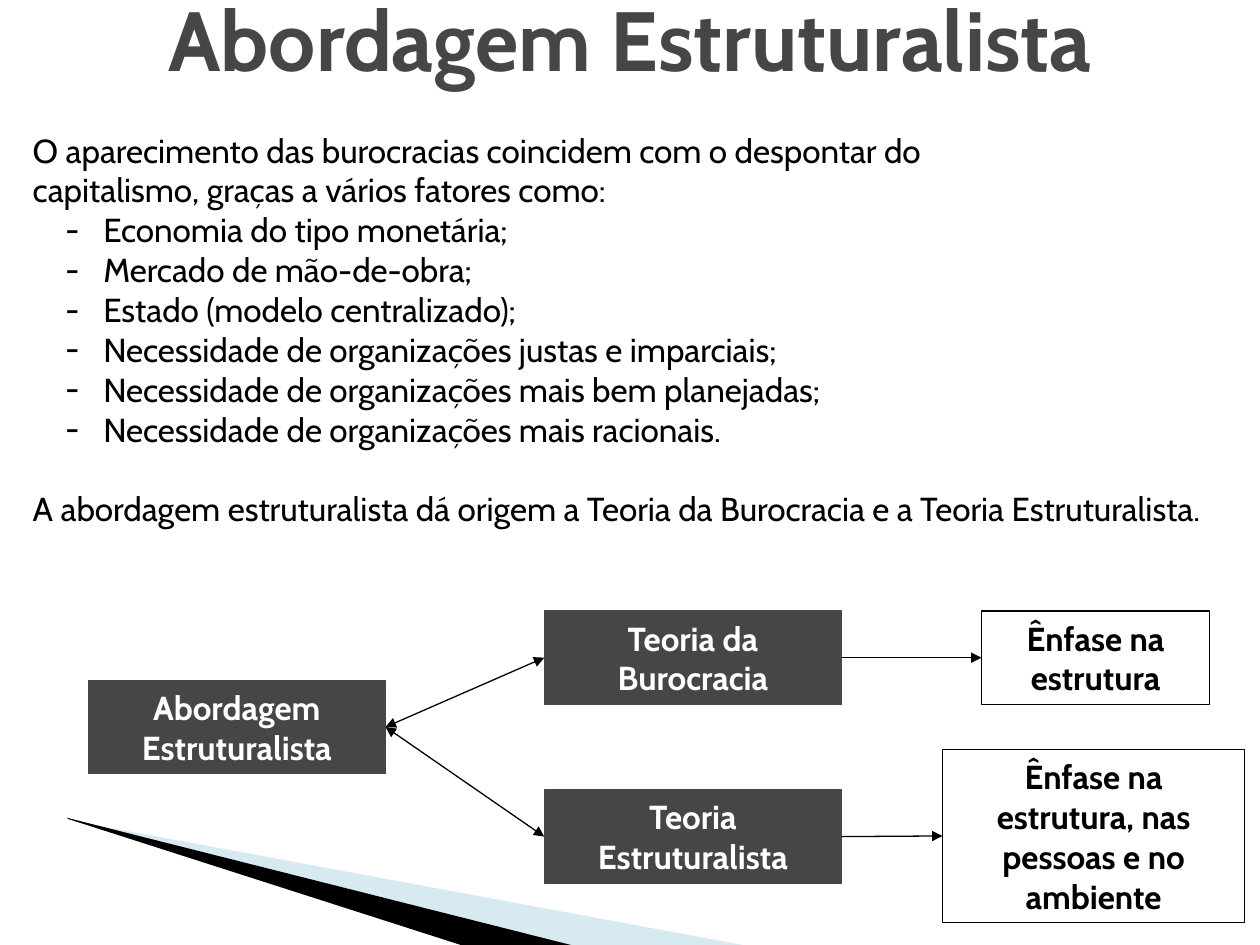
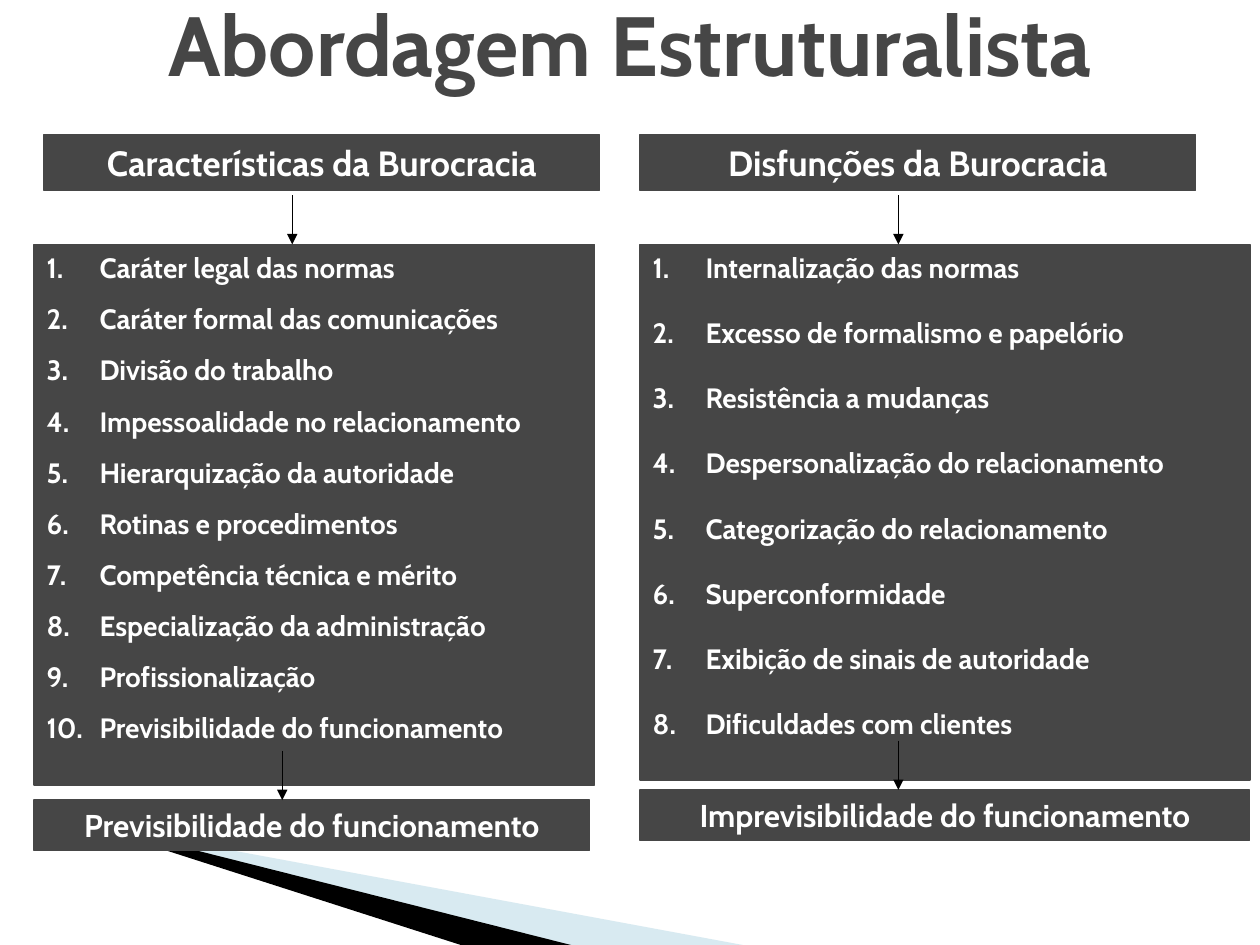
from dataclasses import dataclass

from pptx import Presentation
from pptx.dml.color import RGBColor
from pptx.enum.shapes import MSO_CONNECTOR as Connector, MSO_SHAPE as Preset
from pptx.enum.text import MSO_ANCHOR as Anchor, MSO_AUTO_SIZE as AutoSize, PP_ALIGN as Align
from pptx.oxml.ns import qn
from pptx.oxml.xmlchemy import OxmlElement
from pptx.util import Inches, Pt

# Shared style
DARK = RGBColor(0x46, 0x46, 0x46)
BLACK = RGBColor(0x00, 0x00, 0x00)
WHITE = RGBColor(0xFF, 0xFF, 0xFF)
PALE_BLUE = RGBColor(0x9F, 0xCB, 0xDC)
FONT = "Cabin"
LINE_WIDTH = Pt(0.75)
TITLE = "Abordagem Estruturalista"
LEFT_SIDE, RIGHT_SIDE = 1, 3  # connection sites of a rectangle

# Corner wedges: points, colour, opacity in percent
WEDGES = [
    ([(0.55, 6.51), (5.95, 7.51), (4.56, 7.51), (0.55, 6.5)], PALE_BLUE, 40),
    ([(0.53, 6.49), (4.57, 7.51), (3.72, 7.52), (0.54, 6.5)], BLACK, 100),
]

INTRODUCTION = [
    "O aparecimento das burocracias coincidem com o despontar do",
    "capitalismo, graças a vários fatores como:",
]
FACTORS = [
    "Economia do tipo monetária;",
    "Mercado de mão-de-obra;",
    "Estado (modelo centralizado);",
    "Necessidade de organizações justas e imparciais;",
    "Necessidade de organizações mais bem planejadas;",
    "Necessidade de organizações mais racionais.",
]
CONCLUSION = "A abordagem estruturalista dá origem a Teoria da Burocracia e a Teoria Estruturalista."


@dataclass
class Column:
    heading: str
    items: list
    result: str
    heading_box: tuple
    list_box: tuple
    result_box: tuple
    arrow_offsets: tuple  # upper and lower arrow, from the left of the list
    space_before: int


COLUMNS = [
    Column(
        "Características da Burocracia",
        ["Caráter legal das normas", "Caráter formal das comunicações",
         "Divisão do trabalho", "Impessoalidade no relacionamento",
         "Hierarquização da autoridade", "Rotinas e procedimentos",
         "Competência técnica e mérito", "Especialização da administração",
         "Profissionalização", "Previsibilidade do funcionamento"],
        "Previsibilidade do funcionamento",
        (0.35, 1.07, 4.41, 0.44), (0.27, 1.94, 4.45, 4.29), (0.27, 6.35, 4.41, 0.4),
        (2.05, 1.97), 10),
    Column(
        "Disfunções da Burocracia",
        ["Internalização das normas", "Excesso de formalismo e papelório",
         "Resistência a mudanças", "Despersonalização do relacionamento",
         "Categorização do relacionamento", "Superconformidade",
         "Exibição de sinais de autoridade", "Dificuldades com clientes"],
        "Imprevisibilidade do funcionamento",
        (5.08, 1.07, 4.41, 0.44), (5.08, 1.94, 4.84, 4.25), (5.08, 6.27, 4.84, 0.4),
        (2.05, 2.05), 18),
]


def set_all(target, values):
    for name, value in values.items():
        setattr(target, name, value)


def place(shape, box):
    names = ("left", "top", "width", "height")
    set_all(shape, dict(zip(names, map(Inches, box))))


def child(parent, tag, **attributes):
    element = OxmlElement(tag)
    for name, value in attributes.items():
        element.set(name, str(value))
    parent.append(element)
    return element


def paint(shape, fill, line):
    if fill is None:
        shape.fill.background()
    else:
        shape.fill.solid()
        shape.fill.fore_color.rgb = fill
    shape.line.color.rgb = line
    shape.line.width = LINE_WIDTH


def write(shape, lines, size, color, bold=True, align=Align.CENTER, anchor=Anchor.TOP):
    """Fill a shape with one paragraph per line and return the paragraphs."""
    frame = shape.text_frame
    set_all(frame, {"word_wrap": True, "auto_size": AutoSize.NONE, "vertical_anchor": anchor,
                    "margin_left": Inches(0.1), "margin_right": Inches(0.1),
                    "margin_top": Inches(0.05), "margin_bottom": Inches(0.05)})
    frame.text = "\n".join(lines)
    for paragraph in frame.paragraphs:
        set_all(paragraph, {"alignment": align, "space_before": Pt(0), "space_after": Pt(0)})
        font = paragraph.runs[0].font
        set_all(font, {"name": FONT, "size": Pt(size), "bold": bold})
        font.color.rgb = color
    return frame.paragraphs


def set_bullet(paragraph, color=BLACK, margin=0, hanging=0, tag="a:buNone", **attributes):
    """Give the paragraph its indent and its bullet, number or neither."""
    properties = paragraph._p.get_or_add_pPr()
    properties.set("marL", str(Inches(margin)))
    properties.set("indent", str(-Inches(hanging)))
    if tag != "a:buNone":
        child(child(properties, "a:buClr"), "a:srgbClr", val=color)
        child(properties, "a:buFont", typeface=FONT)
    child(properties, tag, **attributes)


def add_box(slide, box, lines, size, fill=DARK, line=DARK, color=WHITE):
    shape = slide.shapes.add_shape(Preset.RECTANGLE, *map(Inches, box))
    shape.shadow.inherit = False
    paint(shape, fill, line)
    write(shape, lines, size, color, anchor=Anchor.MIDDLE)
    return shape


def add_arrow(slide, start=(0, 0), end=(0, 0), both=False):
    arrow = slide.shapes.add_connector(Connector.STRAIGHT, *map(Inches, start + end))
    arrow.line.color.rgb = BLACK
    arrow.line.width = LINE_WIDTH
    properties = arrow.element.spPr
    outline = properties.find(qn("a:ln"))
    if both:
        child(outline, "a:headEnd", type="triangle")
    child(outline, "a:tailEnd", type="triangle")
    child(properties, "a:effectLst")
    return arrow


def link(slide, source, target, both=False):
    arrow = add_arrow(slide, both=both)
    arrow.begin_connect(source, RIGHT_SIDE)
    arrow.end_connect(target, LEFT_SIDE)


def add_wedges_to_master(presentation, slide):
    """Draw the corner wedges and move them to the master, behind everything."""
    tree = presentation.slide_master.shapes.element
    for index, (points, color, opacity) in enumerate(WEDGES):
        corners = [(Inches(x), Inches(y)) for x, y in points]
        builder = slide.shapes.build_freeform(*corners[0], scale=1.0)
        builder.add_line_segments(corners[1:], close=True)
        wedge = builder.convert_to_shape()
        wedge.shadow.inherit = False
        wedge.fill.solid()
        wedge.fill.fore_color.rgb = color
        wedge.line.fill.background()
        if opacity < 100:
            tint = wedge.element.spPr.find(qn("a:solidFill"))[0]
            child(tint, "a:alpha", val=opacity * 1000)
        wedge.element.xpath(".//p:cNvPr")[0].set("id", str(100 + index))
        tree.insert(2 + index, wedge.element)


def add_title(slide, height):
    place(slide.shapes.title, (0, 0, 10, height))
    write(slide.shapes.title, [TITLE], 48, DARK, anchor=Anchor.MIDDLE)


def add_factors(slide, box):
    body = slide.placeholders[1]
    place(body, box)
    lines = INTRODUCTION + FACTORS + [CONCLUSION]
    paragraphs = write(body, lines, 19, BLACK, bold=False, align=Align.JUSTIFY)
    paragraphs[-1].space_before = Pt(22.8)
    for paragraph in paragraphs:
        if paragraph.text in FACTORS:
            paragraph.level = 1
            set_bullet(paragraph, BLACK, 0.56, 0.3, "a:buChar", char="-")
        else:
            set_bullet(paragraph)


def add_theory_diagram(slide, left, top):
    def theory(x, y, *lines):
        return add_box(slide, (left + x, top + y, 2.36, 0.74), lines, 19)

    def emphasis(x, y, width, height, *lines):
        return add_box(slide, (left + x, top + y, width, height), lines, 19, None, BLACK, BLACK)

    approach = theory(0, 0.55, "Abordagem", "Estruturalista")
    bureaucracy = theory(3.62, 0, "Teoria da", "Burocracia")
    structuralism = theory(3.62, 1.42, "Teoria", "Estruturalista")
    structure = emphasis(7.09, 0, 1.81, 0.74, "Ênfase na", "estrutura")
    people = emphasis(6.78, 1.1, 2.4, 1.37, "Ênfase na", "estrutura, nas pessoas e no ambiente")
    for branch, focus in ((bureaucracy, structure), (structuralism, people)):
        link(slide, approach, branch, both=True)
        link(slide, branch, focus)


def add_column(slide, body, column):
    # Numbered list
    place(body, column.list_box)
    paint(body, DARK, DARK)
    for paragraph in write(body, column.items, 16, WHITE, align=Align.LEFT):
        paragraph.space_before = Pt(column.space_before)
        set_bullet(paragraph, WHITE, 0.42, 0.42, "a:buAutoNum", type="arabicPeriod")
    # Heading and result
    add_box(slide, column.heading_box, [column.heading], 20)
    add_box(slide, column.result_box, [column.result], 18)
    # Arrows that end on the list and on the result
    targets = (column.list_box, column.result_box)
    for offset, target in zip(column.arrow_offsets, targets):
        x, tip = column.list_box[0] + offset, target[1]
        add_arrow(slide, (x, tip - 0.39), (x, tip))


def build_origin_slide(presentation):
    slide = presentation.slides.add_slide(presentation.slide_layouts.get_by_name("Title and Content"))
    add_title(slide, 0.6)
    add_factors(slide, (0.16, 0.98, 9.84, 3.58))
    add_theory_diagram(slide, 0.7, 4.85)
    return slide


def build_comparison_slide(presentation):
    slide = presentation.slides.add_slide(presentation.slide_layouts.get_by_name("Two Content"))
    add_title(slide, 0.68)
    for index, column in enumerate(COLUMNS, start=1):
        add_column(slide, slide.placeholders[index], column)


def main():
    presentation = Presentation()
    set_all(presentation, {"slide_width": Inches(10), "slide_height": Inches(7.5)})
    origin = build_origin_slide(presentation)
    add_wedges_to_master(presentation, origin)
    build_comparison_slide(presentation)
    presentation.save("out.pptx")


if __name__ == "__main__":
    main()
